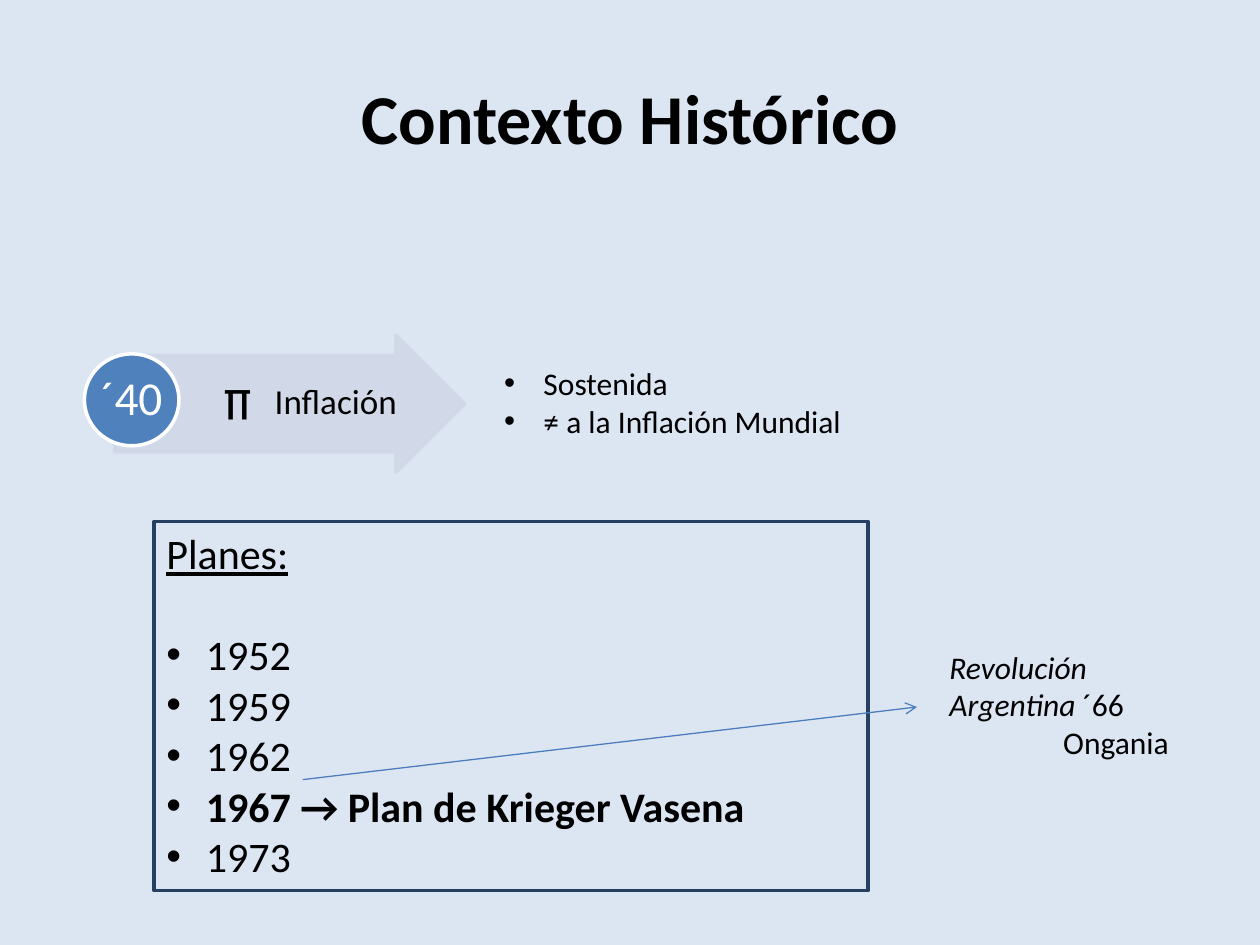
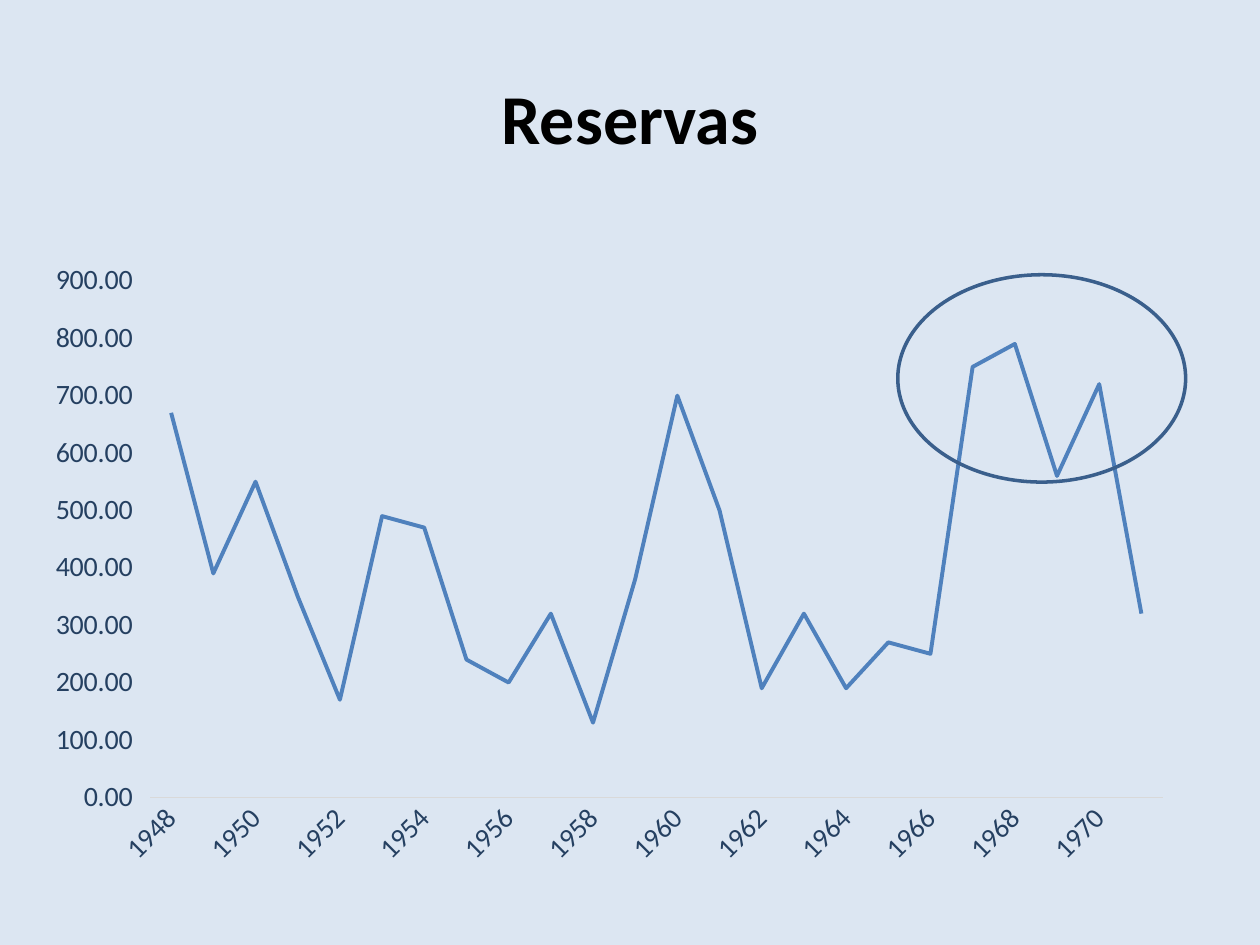
from lxml import etree
from pptx import Presentation
from pptx.chart.data import CategoryChartData
from pptx.dml.color import RGBColor
from pptx.enum.chart import XL_CHART_TYPE, XL_TICK_MARK
from pptx.enum.shapes import MSO_CONNECTOR, MSO_SHAPE
from pptx.enum.text import MSO_ANCHOR, PP_ALIGN
from pptx.oxml import parse_xml
from pptx.oxml.ns import nsdecls, qn
from pptx.util import Pt

LINE_CHART = XL_CHART_TYPE.LINE
NO_TICKS = XL_TICK_MARK.NONE
STRAIGHT = MSO_CONNECTOR.STRAIGHT
RIGHT_ARROW, ELLIPSE, RECTANGLE = MSO_SHAPE.RIGHT_ARROW, MSO_SHAPE.OVAL, MSO_SHAPE.RECTANGLE
TOP, MIDDLE = MSO_ANCHOR.TOP, MSO_ANCHOR.MIDDLE
LEFT, CENTER = PP_ALIGN.LEFT, PP_ALIGN.CENTER

# Shared look
FONT = "Calibri"
BACKGROUND, BLACK, WHITE = "DCE6F2", "000000", "FFFFFF"
BLUE, NAVY, PALE = "4F81BD", "254061", "D0D8E8"
RING, ARROW_LINE, AXIS_LINE = "3A5F8C", "4B7EBC", "D9D9D9"
INSETS = (7.2, 3.6, 7.2, 3.6)
BULLET_INDENT = 22.5

# Content
CONTEXT_TITLE, RESERVES_TITLE = "Contexto Histórico", "Reservas"
DECADE = "´40"
INFLATION_SYMBOL, INFLATION = "∏", "Inflación"
INFLATION_TRAITS = ["Sostenida", "≠ a la Inflación Mundial"]
PLANS_HEADING = "Planes:"
PLANS = [("1952", False), ("1959", False), ("1962", False),
         ("1967 → Plan de Krieger Vasena", True), ("1973", False)]
REVOLUTION, REVOLUTION_YEAR, PRESIDENT = "Revolución Argentina ", "´66", "Ongania"
FIRST_YEAR = 1948
RESERVES = [670, 390, 550, 350, 170, 490, 470, 240, 200, 320, 130, 380,
            700, 500, 190, 320, 190, 270, 250, 750, 790, 560, 720, 320]


def color(value):
    return RGBColor.from_string(value)


def points(values):
    return [Pt(value) for value in values]


def add_slide(presentation, title):
    slide = presentation.slides.add_slide(presentation.slide_layouts[6])
    slide.background.fill.solid()
    slide.background.fill.fore_color.rgb = color(BACKGROUND)
    frame = add_text_box(slide, (36, 21.6, 648, 90), MIDDLE)
    add_run(add_paragraph(frame, CENTER), title, 40, bold=True)
    return slide


def prepare_frame(frame, anchor, insets):
    frame.word_wrap = True
    frame.vertical_anchor = anchor
    (frame.margin_left, frame.margin_top,
     frame.margin_right, frame.margin_bottom) = points(insets)
    return frame


def add_text_box(slide, place, anchor=TOP, insets=INSETS):
    box = slide.shapes.add_textbox(*points(place))
    return prepare_frame(box.text_frame, anchor, insets)


def add_paragraph(frame, alignment=LEFT, bullet=False, indent=0, tab=None):
    """Start the next paragraph; the empty first one is used first."""
    paragraph = frame.paragraphs[0]
    if paragraph.runs:
        paragraph = frame.add_paragraph()
    paragraph.alignment = alignment
    properties = paragraph._p.get_or_add_pPr()
    if bullet:
        indent = BULLET_INDENT
        properties.set("indent", str(-Pt(indent)))
        etree.SubElement(properties, qn("a:buFont"), typeface="Arial")
        etree.SubElement(properties, qn("a:buChar"), char="•")
    if indent:
        properties.set("marL", str(Pt(indent)))
    if tab:
        tabs = etree.SubElement(properties, qn("a:tabLst"))
        etree.SubElement(tabs, qn("a:tab"), pos=str(Pt(tab)), algn="l")
    return paragraph


def add_run(paragraph, text, size, ink=BLACK, bold=False, italic=False, underline=False):
    run = paragraph.add_run()
    run.text = text
    font = run.font
    font.name, font.size, font.color.rgb = FONT, Pt(size), color(ink)
    font.bold, font.italic, font.underline = bold, italic, underline


def add_shape(slide, kind, place, line, fill=None):
    shape = slide.shapes.add_shape(kind, *points(place))
    shape.shadow.inherit = False
    if fill:
        shape.fill.solid()
        shape.fill.fore_color.rgb = color(fill)
    else:
        shape.fill.background()
    shape.line.color.rgb = color(line)
    shape.line.width = Pt(2)
    return shape


def add_arrow(slide, start, end):
    arrow = slide.shapes.add_connector(STRAIGHT, *points(start + end))
    arrow.line.color.rgb = color(ARROW_LINE)
    arrow.line.width = Pt(0.75)
    etree.SubElement(arrow.line._get_or_add_ln(), qn("a:tailEnd"), type="arrow")
    etree.SubElement(arrow._element.spPr, qn("a:effectLst"))


def build_context(presentation):
    slide = add_slide(presentation, CONTEXT_TITLE)

    # Inflation arrow with its decade
    arrow = add_shape(slide, RIGHT_ARROW, (65.5, 191.5, 200, 78.5), PALE, PALE)
    arrow.adjustments[0], arrow.adjustments[1] = 0.7, 0.5
    for paint in arrow._element.spPr.iter(qn("a:srgbClr")):
        etree.SubElement(paint, qn("a:alpha"), val="90000")
    frame = add_text_box(slide, (115, 203, 122.5, 54.5), MIDDLE, (13, 1, 2, 1))
    paragraph = add_paragraph(frame, tab=29)
    paragraph.line_spacing = 0.9
    add_run(paragraph, INFLATION_SYMBOL + "\t", 20, bold=True)
    add_run(paragraph, INFLATION, 20)

    circle = add_shape(slide, ELLIPSE, (48.25, 202.25, 54, 52.5), WHITE, BLUE)
    frame = prepare_frame(circle.text_frame, MIDDLE, (0, 0, 0, 0))
    frame.word_wrap = False
    paragraph = add_paragraph(frame, CENTER)
    paragraph.line_spacing = 0.9
    add_run(paragraph, DECADE, 27, WHITE)

    # Traits of the inflation
    frame = add_text_box(slide, (281, 204.5, 402, 116.5))
    for trait in INFLATION_TRAITS:
        add_run(add_paragraph(frame, bullet=True), trait, 18)

    # Boxed list of plans
    box = add_shape(slide, RECTANGLE, (88, 298, 408, 211), NAVY)
    frame = prepare_frame(box.text_frame, TOP, INSETS)
    heading = add_paragraph(frame)
    heading.space_after = Pt(29)
    add_run(heading, PLANS_HEADING, 24, underline=True)
    for plan, highlighted in PLANS:
        add_run(add_paragraph(frame, bullet=True), plan, 24, bold=highlighted)

    # Government behind the 1967 plan
    add_arrow(slide, (173, 445.5), (524, 404))
    frame = add_text_box(slide, (535.5, 366.5, 164, 72.5))
    paragraph = add_paragraph(frame)
    add_run(paragraph, REVOLUTION, 18, italic=True)
    add_run(paragraph, REVOLUTION_YEAR, 18)
    add_run(add_paragraph(frame, indent=65), PRESIDENT, 18)


def build_reserves(presentation):
    slide = add_slide(presentation, RESERVES_TITLE)

    # Line chart
    data = CategoryChartData()
    data.categories = [str(FIRST_YEAR + step) for step in range(len(RESERVES))]
    data.add_series("Series 1", RESERVES)
    place = points((20, 142.5, 657.5, 360))
    chart = slide.shapes.add_chart(LINE_CHART, *place, data).chart
    chart.has_legend = chart.has_title = False
    chart.font.name, chart.font.size = FONT, Pt(16)
    chart.font.color.rgb = color(NAVY)
    plot = chart.plots[0]
    plot.vary_by_categories = False
    series = plot.series[0]
    series.smooth = False
    series.marker.style = None
    series.format.line.color.rgb = color(BLUE)
    series.format.line.width = Pt(2.25)
    series.marker.format.fill.background()

    # Axes
    years, amounts = chart.category_axis, chart.value_axis
    for axis in (years, amounts):
        axis.has_major_gridlines = False
        axis.major_tick_mark = axis.minor_tick_mark = NO_TICKS
        font = axis.tick_labels.font
        font.name, font.size, font.color.rgb = FONT, Pt(16), color(NAVY)
    years.format.line.color.rgb = color(AXIS_LINE)
    years.format.line.width = Pt(0.75)
    amounts.format.line.fill.background()
    amounts.minimum_scale, amounts.maximum_scale, amounts.major_unit = 0, 900, 100
    amounts.tick_labels.number_format = r"#,##0.00\ \ "
    amounts.tick_labels.number_format_is_linked = False

    # Slanted labels every second year, fixed plot area, no markers
    element = years._element
    element.find(qn("c:txPr")).find(qn("a:bodyPr")).set("rot", "-2700000")
    skip = parse_xml(f'<c:tickLblSkip {nsdecls("c")} val="2"/>')
    element.find(qn("c:noMultiLvlLbl")).addprevious(skip)
    marker = series._element.find(qn("c:marker"))
    marker.insert(0, parse_xml(f'<c:symbol {nsdecls("c")} val="none"/>')) \
        if marker.find(qn("c:symbol")) is None else None
    area = chart._chartSpace.chart.plotArea
    for previous in area.findall(qn("c:layout")):
        area.remove(previous)
    parts = [("layoutTarget", "inner"), ("xMode", "edge"), ("yMode", "edge"),
             ("x", 0.1), ("y", 0.05), ("w", 0.88), ("h", 0.82)]
    inner = "".join(f'<c:{name} val="{value}"/>' for name, value in parts)
    area.insert(0, parse_xml(f'<c:layout {nsdecls("c")}><c:manualLayout>{inner}'
                             '</c:manualLayout></c:layout>'))

    # Ring around the late peak
    add_shape(slide, ELLIPSE, (513, 157, 164.5, 118.5), RING)


def main():
    presentation = Presentation()
    presentation.slide_width, presentation.slide_height = points((720, 540))
    build_context(presentation)
    build_reserves(presentation)
    presentation.save("out.pptx")


if __name__ == "__main__":
    main()
